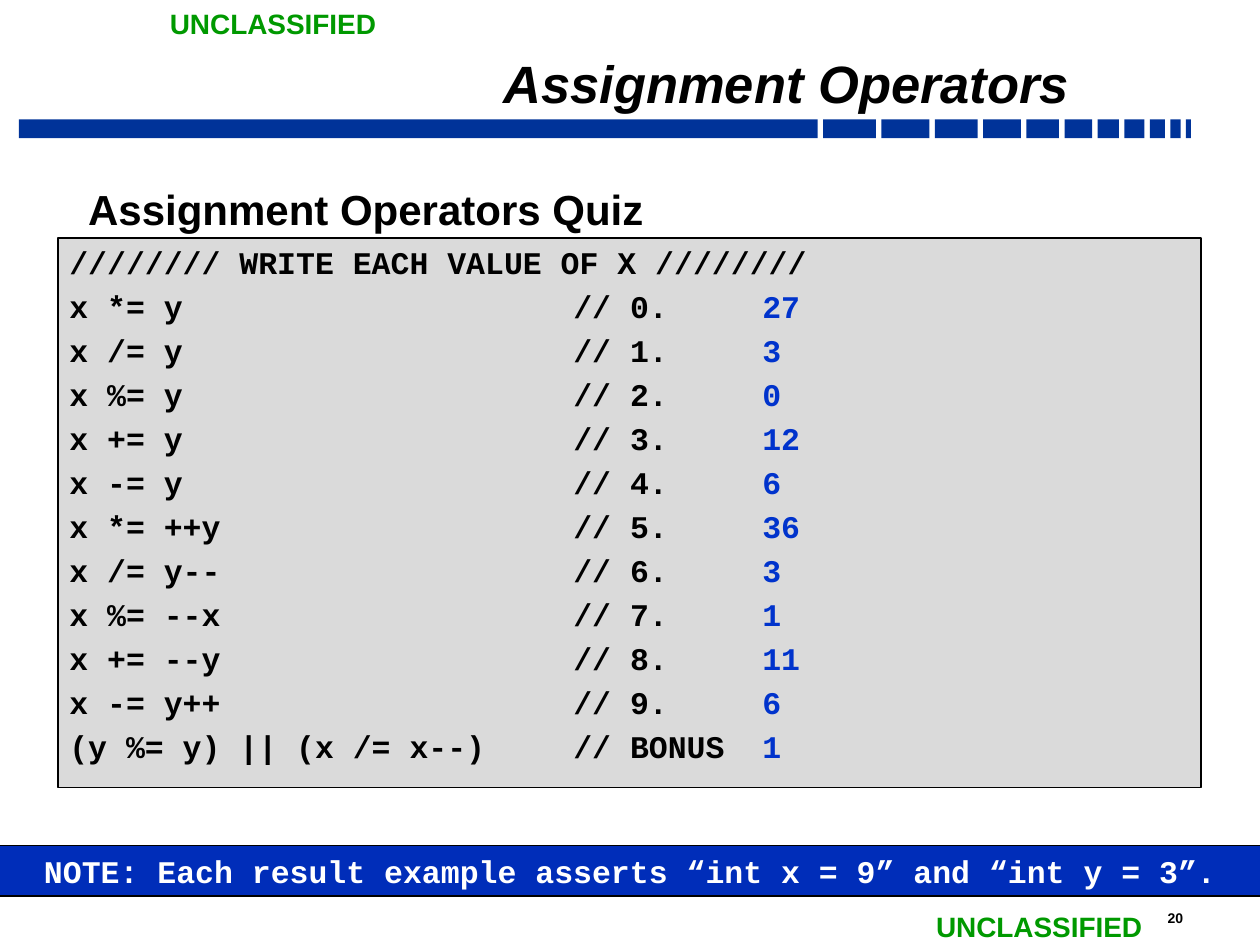
from lxml import etree
from pptx import Presentation
from pptx.dml.color import RGBColor
from pptx.enum import shapes, text
from pptx.oxml import ns
from pptx.util import Pt

BLACK, BLUE, GREEN = "000000", "0033CC", "009900"
ALIGN = text.PP_ALIGN


def add_box(left, top, width, height, fill=None, line=None, line_width=1):
    """Add a rectangle when a fill is given, otherwise a text box."""
    box = [Pt(value) for value in (left, top, width, height)]
    if fill is None:
        return slide.shapes.add_textbox(*box)
    shape = slide.shapes.add_shape(shapes.MSO_SHAPE.RECTANGLE, *box)
    shape.shadow.inherit = False
    shape.fill.solid()
    shape.fill.fore_color.rgb = RGBColor.from_string(fill)
    if line:
        shape.line.color.rgb = RGBColor.from_string(line)
        shape.line.width = Pt(line_width)
    else:
        shape.line.fill.background()
    return shape


def write(shape, lines, size, color=BLACK, font="Arial", align=ALIGN.LEFT,
          inset=(7.2, 3.6), anchor=text.MSO_ANCHOR.TOP, before=0, wrap=True):
    """Fill a shape with bold paragraphs."""
    frame = shape.text_frame
    frame.word_wrap = wrap
    frame.vertical_anchor = anchor
    frame.margin_left = frame.margin_right = Pt(inset[0])
    frame.margin_top = frame.margin_bottom = Pt(inset[1])
    frame.text = "\n".join(lines)
    for paragraph in frame.paragraphs:
        paragraph.alignment = align
        paragraph.space_before = Pt(before)
        for run in paragraph.runs:
            run.font.name, run.font.size, run.font.bold = font, Pt(size), True
            run.font.color.rgb = RGBColor.from_string(color)
    return frame


presentation = Presentation()
presentation.slide_width, presentation.slide_height = Pt(720), Pt(540)
slide = presentation.slides.add_slide(presentation.slide_layouts[6])

# Header rule: segments shrinking to the right with an equal gap
left = 10.8
for width in (456.5, 30.2, 27.4, 24.5, 21.6, 18.7, 15.8, 12.2, 11.5, 8.6, 5.8, 2.9):
    add_box(left, 68.2, width, 10.8, "003399")
    left += width + 3.1

# Page number and classification marks
write(add_box(660.2, 516, 38.9, 16.6), ["20"], 8)
for left, top in ((90, 0), (527.8, 516.2)):
    write(add_box(left, top, 133.9, 26.6), ["UNCLASSIFIED"], 16, GREEN, wrap=False)

# Title and heading
title = write(add_box(119.4, 24.8, 498.2, 42.5), ["Assignment Operators"], 30,
              align=ALIGN.RIGHT, inset=(6.5, 2.9), anchor=text.MSO_ANCHOR.BOTTOM)
title.paragraphs[0].line_spacing = 0.7
title.paragraphs[0].runs[0].font.italic = True

# Quiz panel: expression, question number, answer
quiz = [
    ("x *= y", "27"), ("x /= y", "3"), ("x %= y", "0"), ("x += y", "12"),
    ("x -= y", "6"), ("x *= ++y", "36"), ("x /= y--", "3"), ("x %= --x", "1"),
    ("x += --y", "11"), ("x -= y++", "6"), ("(y %= y) || (x /= x--)", "1"),
]
lines = ["//////// WRITE EACH VALUE OF X ////////"]
for number, (expression, answer) in enumerate(quiz):
    label = f"{number}." if number < 10 else "BONUS"
    lines.append(f"{expression}\t// {label}\t")
panel = add_box(33.1, 136.1, 653.2, 313.9, "DADADA", BLACK)
frame = write(panel, lines, 18, font="Courier New", inset=(6.5, 2.9), before=3.55)
frame.paragraphs[0].space_before = Pt(5.2)
for paragraph, (expression, answer) in zip(frame.paragraphs[1:], quiz):
    run = paragraph.add_run()
    run.text = answer
    run.font.name, run.font.size, run.font.bold = "Courier New", Pt(18), True
    run.font.color.rgb = RGBColor.from_string(BLUE)
    # Columns of the quiz as tab stops
    tabs = etree.SubElement(paragraph._p.get_or_add_pPr(), ns.qn("a:tabLst"))
    for position in (288, 396):
        etree.SubElement(tabs, ns.qn("a:tab"), pos=str(Pt(position)), algn="l")

write(add_box(43.9, 102.2, 653, 372.2), ["Assignment Operators Quiz"], 24,
      inset=(6.5, 2.9), before=2.5)

# Note bar
write(add_box(-18, 483.1, 756, 29, "002DB9", BLACK, 0.75),
      ["NOTE: Each result example asserts “int x = 9” and “int y = 3”."],
      18, "FFFFFF", "Courier New", ALIGN.CENTER)

presentation.save("out.pptx")
